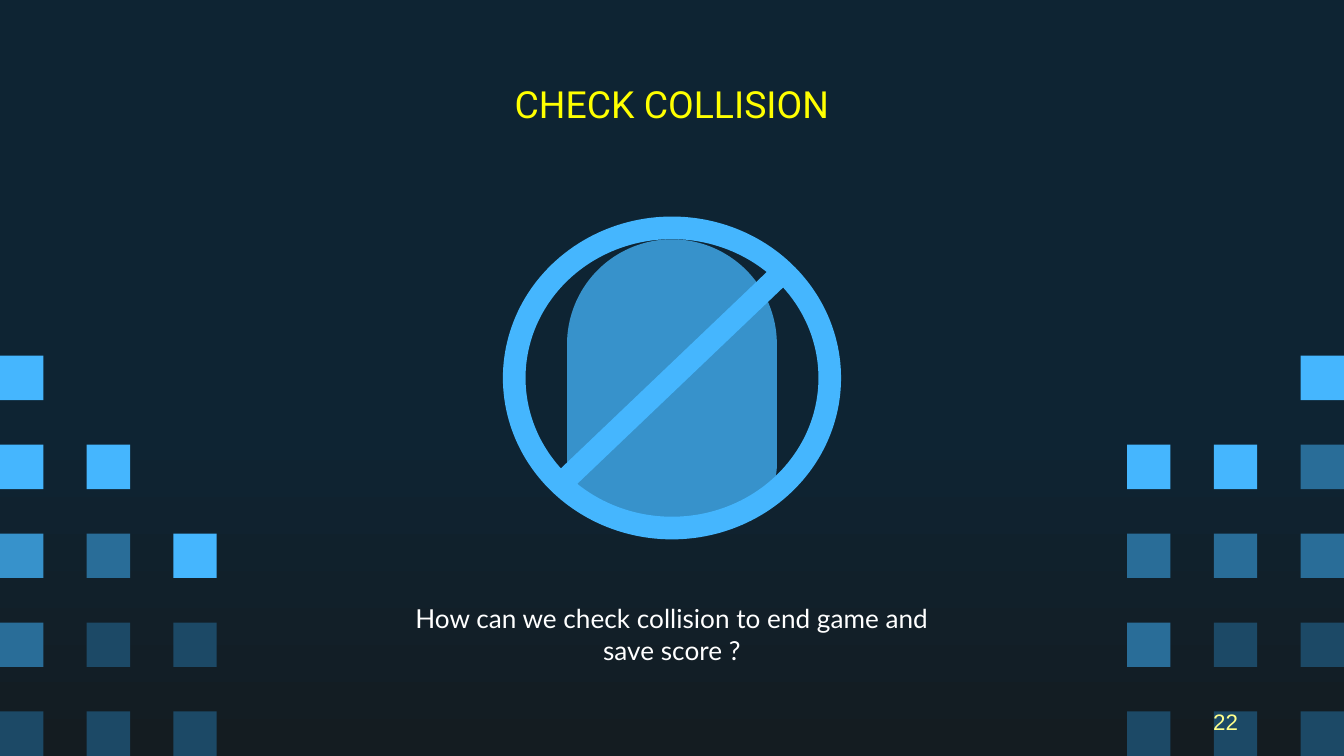
"""Build the "Check collision" slide of a game project deck."""
from dataclasses import dataclass

from pptx import Presentation
from pptx.dml.color import RGBColor
from pptx.enum.shapes import MSO_SHAPE
from pptx.enum.text import MSO_ANCHOR, PP_ALIGN
from pptx.util import Inches, Pt

SQUARE = MSO_SHAPE.RECTANGLE
BODY = MSO_SHAPE.ROUND_2_SAME_RECTANGLE
NO_SIGN = MSO_SHAPE.NO_SYMBOL
TOP, MIDDLE = MSO_ANCHOR.TOP, MSO_ANCHOR.MIDDLE
CENTER, RIGHT = PP_ALIGN.CENTER, PP_ALIGN.RIGHT

WIDTH = Inches(10)
HEIGHT = WIDTH * 9 // 16
COLS, ROWS = 31, 17
FIRST_ROW, STEP = 8, 2
LEFT_SQUARES = ("L  ", "LL ", "BML", "MDD", "DDD")
RIGHT_SQUARES = ("  L", "LLM", "MMM", "MDD", "DDD")


@dataclass(frozen=True)
class Theme:
    """Colours, fonts and type sizes of the slide."""
    night: str = "0E2433"
    ground: str = "141C21"
    light: str = "45B6FE"
    blue: str = "3792CB"
    medium: str = "296D98"
    dark: str = "1C4966"
    yellow: str = "FFFF00"
    pale: str = "FFFF8C"
    white: str = "FFFFFF"
    title_font: str = "Roboto"
    body_font: str = "Lato"
    number_font: str = "Arial"
    title_size: int = 20
    body_size: int = 14
    number_size: int = 12


def write(p, text, *, font, size, color, align):
    """Add a formatted run of text to a paragraph."""
    p.alignment = align
    r = p.add_run()
    r.text = text
    r.font.name = font
    r.font.size = Pt(size)
    r.font.color.rgb = RGBColor.from_string(color)


class Deck:
    """Holds the theme and the current slide, and draws on a grid."""

    def __init__(self, theme):
        """Start a deck with one blank slide."""
        self.theme = theme
        self.prs = Presentation()
        self.prs.slide_width, self.prs.slide_height = WIDTH, HEIGHT
        self.slide = self.prs.slides.add_slide(self.prs.slide_layouts[6])

    def box(self, col, row, cols, rows):
        """Turn grid units into left, top, width and height."""
        dx, dy = WIDTH / COLS, HEIGHT / ROWS
        return [round(v) for v in (col * dx, row * dy, cols * dx, rows * dy)]

    def background(self, start, end, begin):
        """Fill the background with a downward gradient."""
        fill = self.slide.background.fill
        fill.gradient()
        fill.gradient_angle = 270
        for stop, color, position in zip(fill.gradient_stops, (start, end), (begin, 1)):
            stop.color.rgb = RGBColor.from_string(color)
            stop.position = position

    def shape(self, kind, place, color, adjustments=(), flip=False):
        """Add a plain filled shape."""
        s = self.slide.shapes.add_shape(kind, *self.box(*place))
        s.shadow.inherit = False
        s.fill.solid()
        s.fill.fore_color.rgb = RGBColor.from_string(color)
        s.line.fill.background()
        for i, value in enumerate(adjustments):
            s.adjustments[i] = value
        if flip:
            s._element.spPr.xfrm.set("flipH", "1")

    def squares(self, first_col, pattern):
        """Add a block of squares coloured by a letter pattern."""
        t = self.theme
        colors = {"L": t.light, "B": t.blue, "M": t.medium, "D": t.dark}
        for i, line in enumerate(pattern):
            for j, key in enumerate(line):
                if key in colors:
                    place = first_col + j * STEP, FIRST_ROW + i * STEP, 1, 1
                    self.shape(SQUARE, place, colors[key])

    def text(self, text, place, anchor=TOP, inset=0.1, **style):
        """Add a wrapped text box."""
        tf = self.slide.shapes.add_textbox(*self.box(*place)).text_frame
        tf.word_wrap = True
        tf.vertical_anchor = anchor
        tf.margin_top = tf.margin_bottom = Inches(inset)
        write(tf.paragraphs[0], text, **style)


def main():
    """Build and save the slide."""
    t = Theme()
    deck = Deck(t)
    deck.background(t.night, t.ground, 0.56)
    deck.squares(26, RIGHT_SQUARES)
    deck.squares(0, LEFT_SQUARES)
    deck.text("CHECK COLLISION", (2.42, 1.78, 26.16, 1.09), MIDDLE,
              font=t.title_font, size=t.title_size, color=t.yellow, align=CENTER)
    deck.text("How can we check collision to end game and save score ?",
              (8.94, 13.25, 13.12, 3),
              font=t.body_font, size=t.body_size, color=t.white, align=CENTER)
    deck.shape(BODY, (13.08, 5.38, 4.84, 6.26), t.blue, (0.5, 0.25))
    deck.shape(NO_SIGN, (11.6, 4.87, 7.8, 7.26), t.light, (0.07,), flip=True)
    deck.text("22", (21.88, 15.76, 6.98, 0.91), MIDDLE, 0.05,
              font=t.number_font, size=t.number_size, color=t.pale, align=RIGHT)
    deck.prs.save("out.pptx")


if __name__ == "__main__":
    main()
